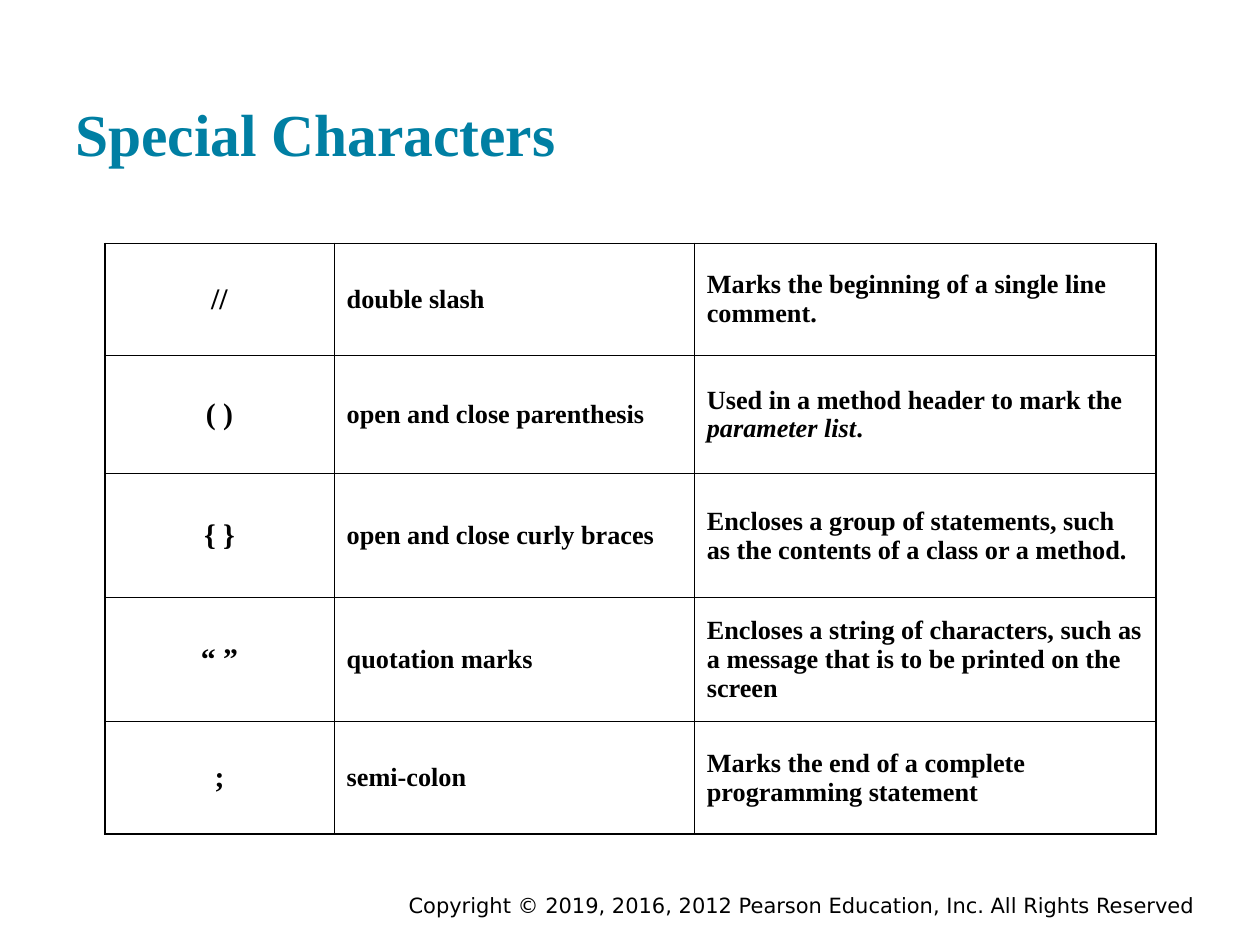
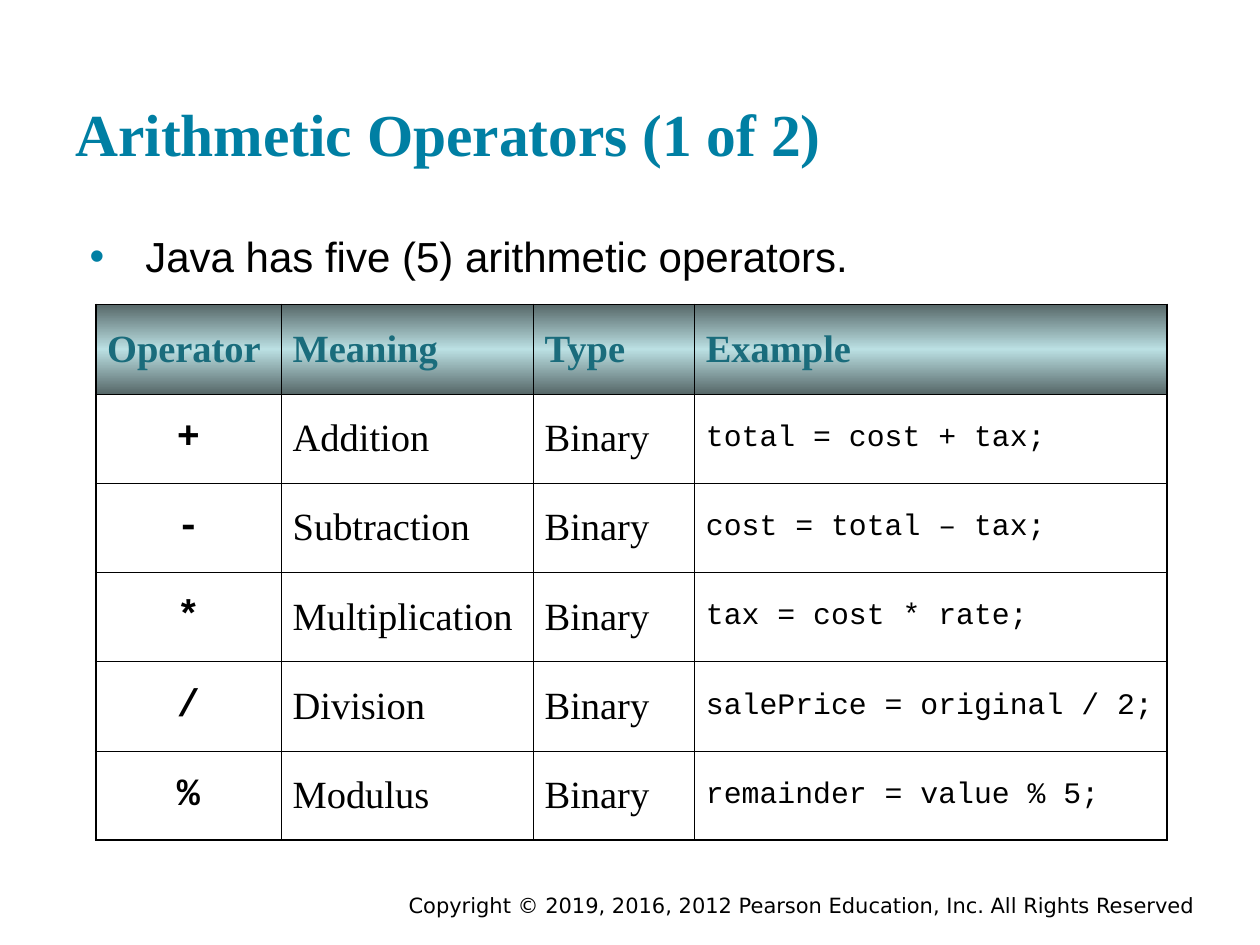
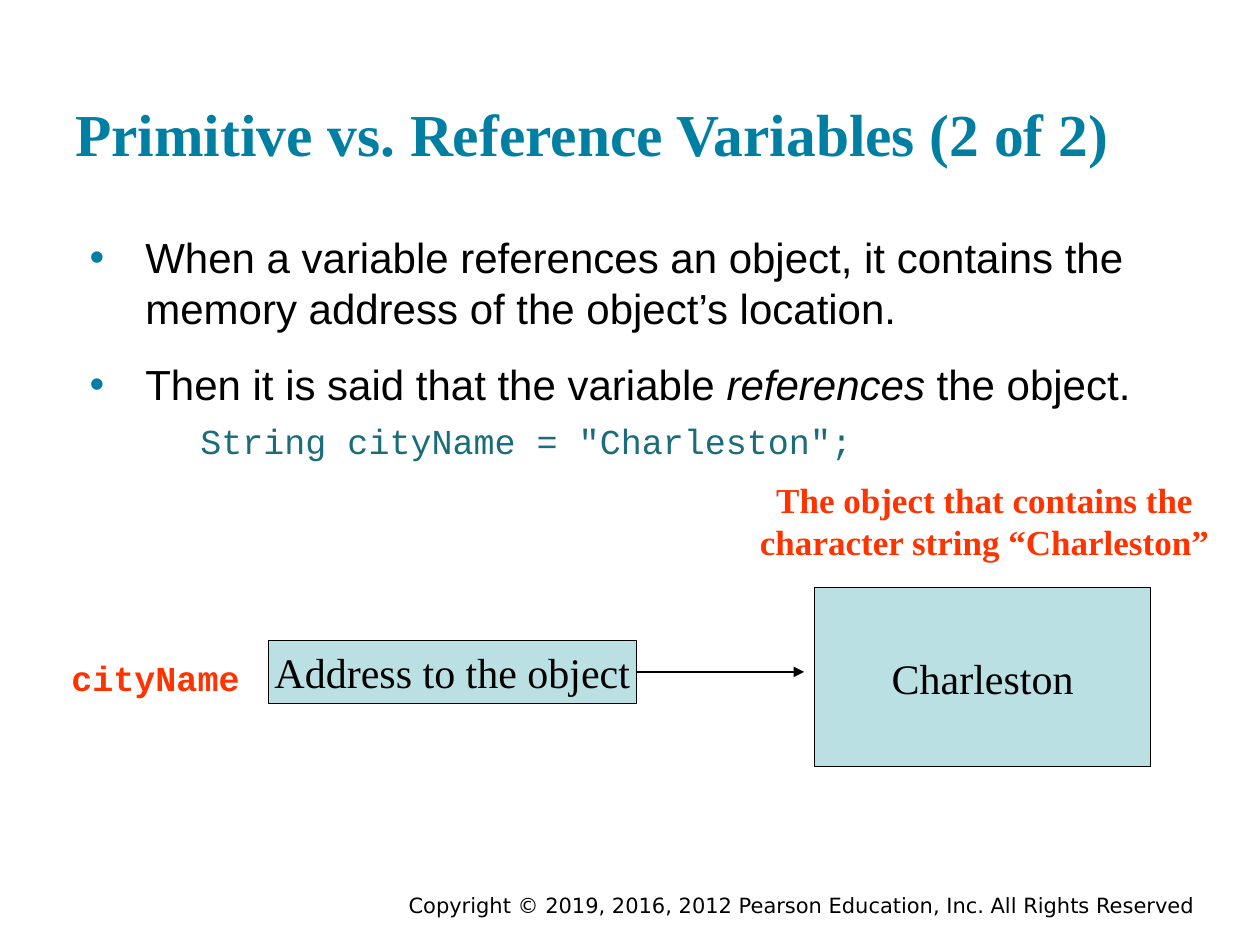
import copy
import dataclasses

import lxml.etree
import pptx
import pptx.dml.color
import pptx.enum.shapes
import pptx.enum.text
import pptx.oxml.ns
import pptx.util

Cm = pptx.util.Cm
Pt = pptx.util.Pt
qn = pptx.oxml.ns.qn
ALIGN = pptx.enum.text.PP_ALIGN
ANCHOR = pptx.enum.text.MSO_ANCHOR

BLACK = "000000"
TITLE_BLUE = "007FA3"
DARK_TEAL = "1A6C7C"
PALE_TEAL = "BBE0E3"
SHADE_TEAL = "576869"
RED = "FF3300"

SERIF = "Times New Roman"
SANS = "Arial"
MONO = "Courier New"
FOOTER_FONT = "DejaVu Sans"

COPYRIGHT = "Copyright © 2019, 2016, 2012 Pearson Education, Inc. All Rights Reserved"
OUTER_BORDER = Pt(1.08)
INNER_BORDER = Pt(0.45)


@dataclasses.dataclass
class TextStyle:
    size: float
    font: str = SERIF
    color: str = BLACK
    bold: bool = False
    align: ALIGN = ALIGN.LEFT


TITLE = TextStyle(34, color=TITLE_BLUE, bold=True)
FOOTER = TextStyle(12, FOOTER_FONT, align=ALIGN.RIGHT)
BODY = TextStyle(24, SANS)
CODE = TextStyle(20, MONO, DARK_TEAL)
BOX_TEXT = TextStyle(24, align=ALIGN.CENTER)


def rgb(color):
    return pptx.dml.color.RGBColor.from_string(color)


def place(*lengths):
    return [Cm(length) for length in lengths]


def add_element(parent, tag, **attributes):
    return lxml.etree.SubElement(parent, qn(tag), attributes)


def write(paragraph, text, style):
    """Fill a paragraph; parts between underscores become italic."""
    paragraph.alignment = style.align
    font = paragraph.font
    font.size = Pt(style.size)
    font.name = style.font
    font.bold = style.bold
    font.color.rgb = rgb(style.color)
    for index, part in enumerate(text.split("_")):
        run = paragraph.add_run()
        run.text = part
        if index % 2:
            run.font.italic = True


def set_indent(paragraph, left, first_line):
    properties = paragraph._p.get_or_add_pPr()
    properties.set("marL", str(Cm(left)))
    properties.set("indent", str(Cm(first_line)))
    return properties


def set_margins(target, horizontal, vertical):
    target.margin_left = target.margin_right = Cm(horizontal)
    target.margin_top = target.margin_bottom = Cm(vertical)


def set_borders(cell, outer_sides):
    properties = cell._tc.get_or_add_tcPr()
    for side in "LRTB":
        width = OUTER_BORDER if side in outer_sides else INNER_BORDER
        line = add_element(properties, f"a:ln{side}", w=str(width))
        fill = add_element(line, "a:solidFill")
        add_element(fill, "a:srgbClr", val=BLACK)


def shade_header(cell):
    """Give a cell a vertical gradient that is lightest in the middle."""
    cell.fill.gradient()
    stops = cell._tc.tcPr.find(qn("a:gradFill")).find(qn("a:gsLst"))
    stops.append(copy.deepcopy(stops[0]))
    colors = [SHADE_TEAL, PALE_TEAL, SHADE_TEAL]
    for index, stop in enumerate(cell.fill.gradient_stops):
        stop.position = index / 2
        stop.color.rgb = rgb(colors[index])
    cell.fill.gradient_angle = 90


class Deck:
    def __init__(self):
        self.presentation = pptx.Presentation()
        self.presentation.slide_width = Cm(25.4)
        self.presentation.slide_height = Cm(19.05)
        self.slide = None

    def start_slide(self, title):
        layout = self.presentation.slide_layouts[6]
        self.slide = self.presentation.slides.add_slide(layout)
        self.text([COPYRIGHT], FOOTER, (4.45, 17.86, 19.89, 0.56))
        frame = self.text([title], TITLE, (1.27, 0.6, 22.86, 3.05))
        set_margins(frame, 0.25, 0.25)
        frame.vertical_anchor = ANCHOR.BOTTOM

    def text(self, lines, style, box, wrap=True):
        frame = self.slide.shapes.add_textbox(*place(*box)).text_frame
        frame.word_wrap = wrap
        set_margins(frame, 0.25, 0.13)
        for index, line in enumerate(lines):
            paragraph = frame.add_paragraph() if index else frame.paragraphs[0]
            write(paragraph, line, style)
        return frame

    def bullets(self, lines, top):
        frame = self.text([], BODY, (1.27, top, 22.86, 12.57))
        set_margins(frame, 0.25, 0.25)
        for index, line in enumerate(lines):
            paragraph = frame.add_paragraph() if index else frame.paragraphs[0]
            properties = set_indent(paragraph, 1.41, -1.12)
            color = add_element(properties, "a:buClr")
            add_element(color, "a:srgbClr", val=TITLE_BLUE)
            add_element(properties, "a:buFont", typeface=SANS)
            add_element(properties, "a:buChar", char="•")
            if index:
                paragraph.space_before = Pt(15)
            write(paragraph, line, BODY)
        return frame

    def code_line(self, frame, text):
        paragraph = frame.add_paragraph()
        add_element(set_indent(paragraph, 2.06, 0.46), "a:buNone")
        paragraph.space_before = Pt(6)
        write(paragraph, text, CODE)

    def table(self, rows, corner, widths, heights, styles, margin, header=None):
        """Draw a ruled table; styles has one text style for each column."""
        box = place(*corner, sum(widths), sum(heights))
        table = self.slide.shapes.add_table(len(rows), len(widths), *box).table
        table.first_row = table.horz_banding = False
        for column, width in zip(table.columns, widths):
            column.width = Cm(width)
        last_row, last_column = len(rows) - 1, len(widths) - 1
        for r, (row, height) in enumerate(zip(rows, heights)):
            table.rows[r].height = Cm(height)
            for c, text in enumerate(row):
                cell = table.cell(r, c)
                is_header = header is not None and r == 0
                edges = {"L": c == 0, "R": c == last_column,
                         "T": r == 0, "B": r == last_row}
                set_borders(cell, [side for side in edges if edges[side]])
                if is_header:
                    shade_header(cell)
                else:
                    cell.fill.background()
                set_margins(cell, margin, 0.13)
                cell.vertical_anchor = ANCHOR.MIDDLE
                write(cell.text_frame.paragraphs[0], text,
                      header if is_header else styles[c])

    def rectangle(self, text, box):
        kind = pptx.enum.shapes.MSO_SHAPE.RECTANGLE
        shape = self.slide.shapes.add_shape(kind, *place(*box))
        shape.shadow.inherit = False
        shape.fill.solid()
        shape.fill.fore_color.rgb = rgb(PALE_TEAL)
        shape.line.color.rgb = rgb(BLACK)
        shape.line.width = Pt(0.75)
        frame = shape.text_frame
        frame.word_wrap = False
        frame.vertical_anchor = ANCHOR.MIDDLE
        set_margins(frame, 0.25, 0.13)
        write(frame.paragraphs[0], text, BOX_TEXT)
        return shape

    def arrow_from(self, shape, length):
        """Draw an arrow to the right from the middle of the right side."""
        start = shape.left + shape.width
        middle = shape.top + shape.height // 2
        kind = pptx.enum.shapes.MSO_CONNECTOR.STRAIGHT
        arrow = self.slide.shapes.add_connector(
            kind, start, middle, start + Cm(length), middle)
        arrow.begin_connect(shape, 3)
        arrow.line.color.rgb = rgb(BLACK)
        arrow.line.width = Pt(0.75)
        add_element(arrow.line._get_or_add_ln(), "a:tailEnd", type="triangle")
        add_element(arrow._element.spPr, "a:effectLst")


def special_characters(deck):
    deck.start_slide("Special Characters")
    rows = [
        ("//", "double slash", "Marks the beginning of a single line comment."),
        ("( )", "open and close parenthesis",
         "Used in a method header to mark the _parameter list_."),
        ("{ }", "open and close curly braces",
         "Encloses a group of statements, such as the contents of a class or a method."),
        ("“ ”", "quotation marks",
         "Encloses a string of characters, such as a message that is to be printed"
         " on the screen"),
        (";", "semi-colon", "Marks the end of a complete programming statement"),
    ]
    symbol = TextStyle(17, bold=True, align=ALIGN.CENTER)
    wording = TextStyle(15, bold=True)
    deck.table(rows, (2.11, 4.91), (4.63, 7.26, 9.3),
               (2.26, 2.38, 2.5, 2.5, 2.26), (symbol, wording, wording), 0.25)


def arithmetic_operators(deck):
    deck.start_slide("Arithmetic Operators (1 of 2)")
    deck.bullets(["Java has five (5) arithmetic operators."], 4.4)
    operators = [
        ("+", "Addition", "total = cost + tax;"),
        ("-", "Subtraction", "cost = total – tax;"),
        ("*", "Multiplication", "tax = cost * rate;"),
        ("/", "Division", "salePrice = original / 2;"),
        ("%", "Modulus", "remainder = value % 5;"),
    ]
    rows = [("Operator", "Meaning", "Type", "Example")]
    rows += [(sign, meaning, "Binary", example)
             for sign, meaning, example in operators]
    sign_style = TextStyle(22, MONO, bold=True, align=ALIGN.CENTER)
    wording = TextStyle(22)
    deck.table(rows, (1.93, 6.14), (3.74, 5.08, 3.25, 9.52), [1.8] * len(rows),
               (sign_style, wording, wording, TextStyle(17, MONO)), 0.23,
               header=TextStyle(22, color=DARK_TEAL, bold=True))


def reference_variables(deck):
    deck.start_slide("Primitive vs. Reference Variables (2 of 2)")
    body = deck.bullets([
        "When a variable references an object, it contains the memory address"
        " of the object’s location.",
        "Then it is said that the variable _references_ the object.",
    ], 4.42)
    deck.code_line(body, 'String cityName = "Charleston";')
    deck.rectangle("Charleston", (16.42, 11.85, 6.78, 3.61))
    address = deck.rectangle("Address to the object", (5.41, 12.91, 7.42, 1.27))
    deck.text(["cityName"], TextStyle(20, MONO, RED, True),
              (1.19, 13.11, 4, 1.12))
    deck.arrow_from(address, 3.38)
    deck.text(["The object that contains the", "character string “Charleston”"],
              TextStyle(20, SERIF, RED, True, ALIGN.CENTER),
              (15.06, 9.51, 9.58, 1.96), wrap=False)


def main():
    deck = Deck()
    special_characters(deck)
    arithmetic_operators(deck)
    reference_variables(deck)
    deck.presentation.save("out.pptx")


if __name__ == "__main__":
    main()
